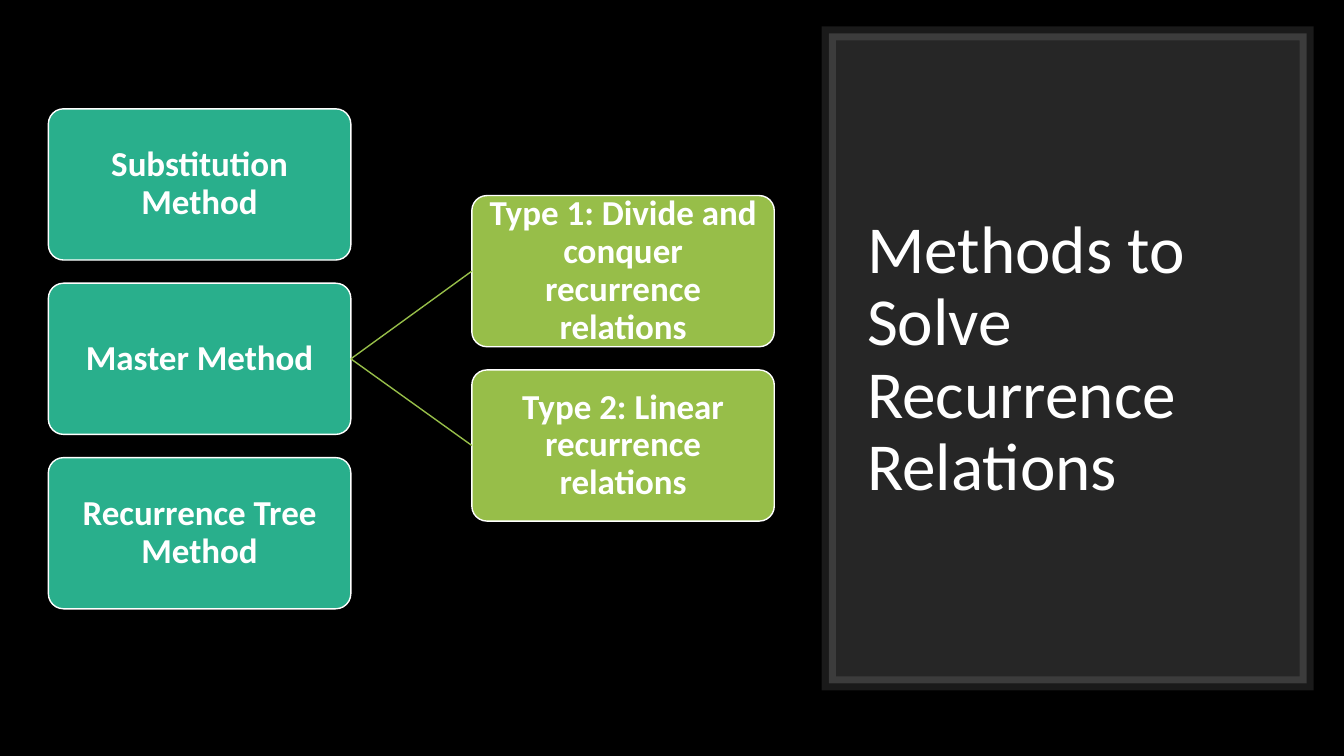
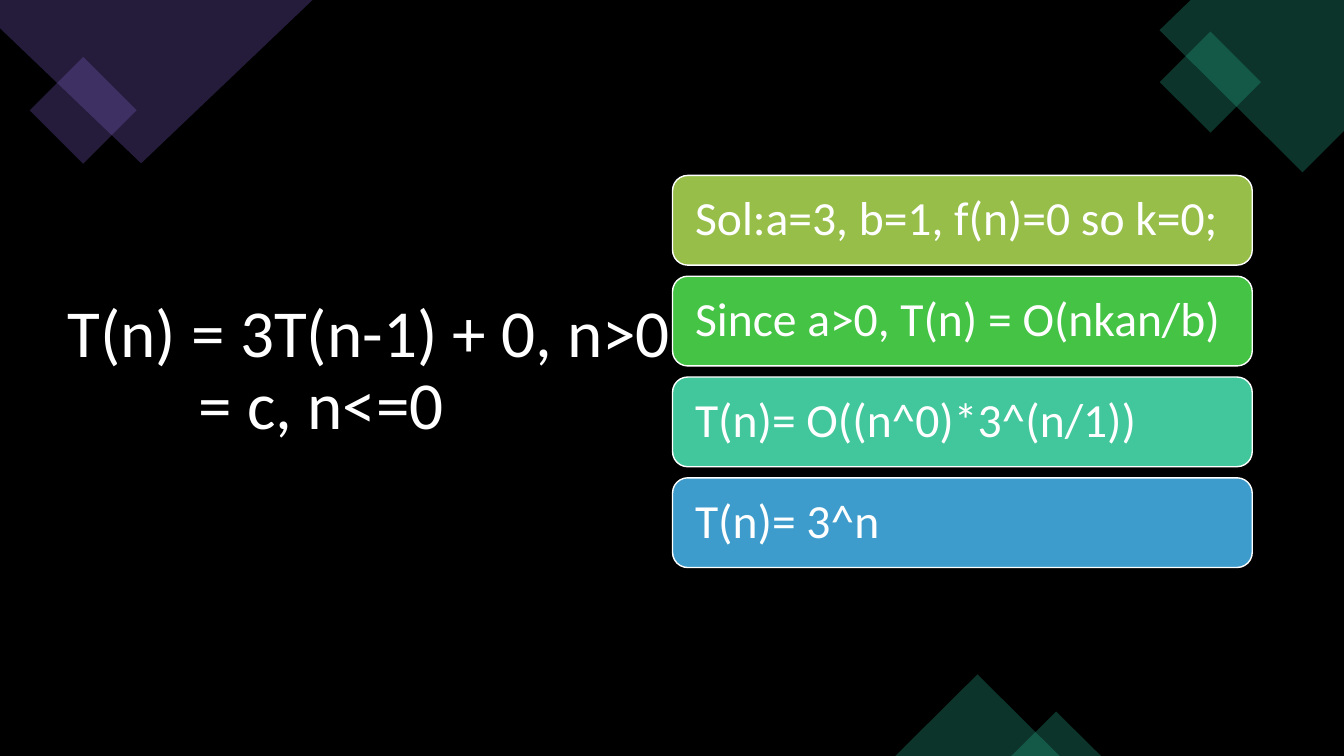
from dataclasses import dataclass

from lxml.etree import SubElement
from pptx import Presentation
from pptx.dml.color import RGBColor
from pptx.enum.shapes import MSO_CONNECTOR, MSO_SHAPE
from pptx.enum.text import MSO_ANCHOR, MSO_AUTO_SIZE, PP_ALIGN
from pptx.oxml.ns import qn
from pptx.util import Inches, Pt


@dataclass(frozen=True)
class Theme:
    font: str = "Calibri"
    black: str = "000000"
    white: str = "FFFFFF"
    teal: str = "29AF8C"
    lime: str = "97BE49"
    green: str = "45C345"
    mint: str = "41C79B"
    blue: str = "3D9CCC"
    purple: str = "7C60C6"
    title_size: int = 48
    step_size: int = 34
    node_size: int = 25


THEME = Theme()


def apply(target, values):
    for name, value in values.items():
        setattr(target, name, value)


def set_opacity(parent, percent):
    """Make the solid fill directly inside an XML element translucent."""
    color = parent.find(qn("a:solidFill"))[0]
    SubElement(color, qn("a:alpha")).set("val", str(percent * 1000))


class Deck:
    def __init__(self, theme):
        self.theme = theme
        self.prs = Presentation()
        apply(self.prs, {"slide_width": Inches(13.33), "slide_height": Inches(7.5)})
        self.paint(self.prs.slide_master.background.fill, theme.black)
        self.s = None

    def new_slide(self):
        self.s = self.prs.slides.add_slide(self.prs.slide_layouts[5])

    def paint(self, fill, color):
        fill.solid()
        fill.fore_color.rgb = RGBColor.from_string(color)

    def set_text(self, sp, lines, size, inset, align=PP_ALIGN.LEFT, bold=False, indents=()):
        """Fill a shape with one paragraph per line; indents are in inches."""
        tf = sp.text_frame
        apply(tf, {"word_wrap": True, "auto_size": MSO_AUTO_SIZE.NONE,
                   "vertical_anchor": MSO_ANCHOR.MIDDLE})
        apply(tf, {f"margin_{side}": Inches(inset)
                   for side in ("left", "top", "right", "bottom")})
        tf.text = "\n".join(lines)
        for p in tf.paragraphs:
            apply(p, {"alignment": align, "line_spacing": 0.9})
            apply(p.font, {"name": self.theme.font, "size": Pt(size), "bold": bold})
            p.font.color.rgb = RGBColor.from_string(self.theme.white)
        for p, indent in zip(tf.paragraphs, indents):
            p._p.get_or_add_pPr().set("marL", str(Inches(indent)))

    def title(self, lines, x, y, w, h, indents=()):
        sp = self.s.shapes.title
        apply(sp, {"left": Inches(x), "top": Inches(y),
                   "width": Inches(w), "height": Inches(h)})
        self.set_text(sp, lines, self.theme.title_size, 0.1, indents=indents)
        self.s.shapes.element.append(sp.element)  # keep the title above the decoration

    def shape(self, kind, x, y, w, h, color, opacity=100, rotation=0):
        sp = self.s.shapes.add_shape(kind, Inches(x), Inches(y), Inches(w), Inches(h))
        sp.rotation = rotation
        return self.finish(sp, color, opacity)

    def polygon(self, points, color, opacity):
        start, *rest = [(Inches(x), Inches(y)) for x, y in points]
        builder = self.s.shapes.build_freeform(*start)
        builder.add_line_segments(rest, close=True)
        return self.finish(builder.convert_to_shape(), color, opacity)

    def finish(self, sp, color, opacity):
        sp.shadow.inherit = False
        self.paint(sp.fill, color)
        sp.line.fill.background()
        if opacity < 100:
            set_opacity(sp.element.spPr, opacity)
        return sp

    def outline(self, sp, width):
        self.paint(sp.line.fill, self.theme.white)
        sp.line.width = Pt(width)

    def panel(self, x, y, w, h):
        sp = self.shape(MSO_SHAPE.RECTANGLE, x, y, w, h, self.theme.white, 15)
        self.outline(sp, 10)
        ln = sp.element.spPr.find(qn("a:ln"))
        set_opacity(ln, 10)
        SubElement(ln, qn("a:miter")).set("lim", "800000")

    def card(self, text, x, y, w, h, color, radius, **style):
        sp = self.shape(MSO_SHAPE.ROUNDED_RECTANGLE, x, y, w, h, color)
        sp.adjustments[0] = radius
        self.outline(sp, 1)
        self.set_text(sp, [text], **style)
        return sp

    def nodes(self, texts, x, y, color):
        """Stack the boxes of one level of the tree."""
        return [self.card(text, x, y + 1.73 * i, 3, 1.5, color, 0.1,
                          size=self.theme.node_size, inset=0.07,
                          align=PP_ALIGN.CENTER, bold=True)
                for i, text in enumerate(texts)]

    def branch(self, parent, child):
        line = self.s.shapes.add_connector(MSO_CONNECTOR.STRAIGHT, 0, 0, 0, 0)
        line.begin_connect(parent, 3)
        line.end_connect(child, 1)
        self.paint(line.line.fill, self.theme.lime)
        line.line.width = Pt(1)
        SubElement(line.element.spPr, qn("a:effectLst"))


def methods_slide(deck):
    deck.new_slide()
    deck.panel(8.22, 0.33, 4.74, 6.45)
    deck.title(["Methods to Solve Recurrence Relations"], 8.5, 0.7, 4.16, 5.75)
    methods = deck.nodes(
        ["Substitution Method", "Master Method", "Recurrence Tree Method"],
        0.48, 1.08, THEME.teal)
    types = deck.nodes(
        ["Type 1: Divide and conquer recurrence relations",
         "Type 2: Linear recurrence relations"],
        4.68, 1.94, THEME.lime)
    for child in types:
        deck.branch(methods[1], child)


def example_slide(deck):
    deck.new_slide()
    opacity = 30
    for points, color in (
        ([(0, 0), (3.1, 0), (1.4, 1.62), (0, 0.28)], THEME.purple),
        ([(11.81, 0), (13.33, 0), (13.33, 1.3), (12.92, 1.71), (11.5, 0.3)], THEME.teal),
    ):
        deck.polygon(points, color, opacity)
    for kind, x, y, w, h, color, rotation in (
        (MSO_SHAPE.RECTANGLE, 0.45, 0.72, 0.75, 0.75, THEME.purple, 45),
        (MSO_SHAPE.RECTANGLE, 11.65, 0.46, 0.71, 0.71, THEME.teal, 45),
        (MSO_SHAPE.ISOSCELES_TRIANGLE, 8.88, 6.69, 1.63, 0.81, THEME.teal, 0),
        (MSO_SHAPE.ISOSCELES_TRIANGLE, 10.03, 7.06, 0.89, 0.44, THEME.teal, 0),
    ):
        deck.shape(kind, x, y, w, h, color, opacity, rotation)
    deck.title(["T(n) = 3T(n-1) + 0, n>0", "= c, n<=0"],
               0.57, 0.68, 6.4, 6.02, indents=(0, 1.3))
    steps = (
        ("Sol:a=3, b=1, f(n)=0 so k=0;", THEME.lime),
        ("Since a>0, T(n) = O(nkan/b)", THEME.green),
        ("T(n)= O((n^0)*3^(n/1))", THEME.mint),
        ("T(n)= 3^n", THEME.blue),
    )
    for i, (text, color) in enumerate(steps):
        deck.card(text, 6.67, 1.74 + i, 5.75, 0.89, color, 0.17,
                  size=THEME.step_size, inset=0.18)


def main():
    deck = Deck(THEME)
    methods_slide(deck)
    example_slide(deck)
    deck.prs.save("out.pptx")


if __name__ == "__main__":
    main()
